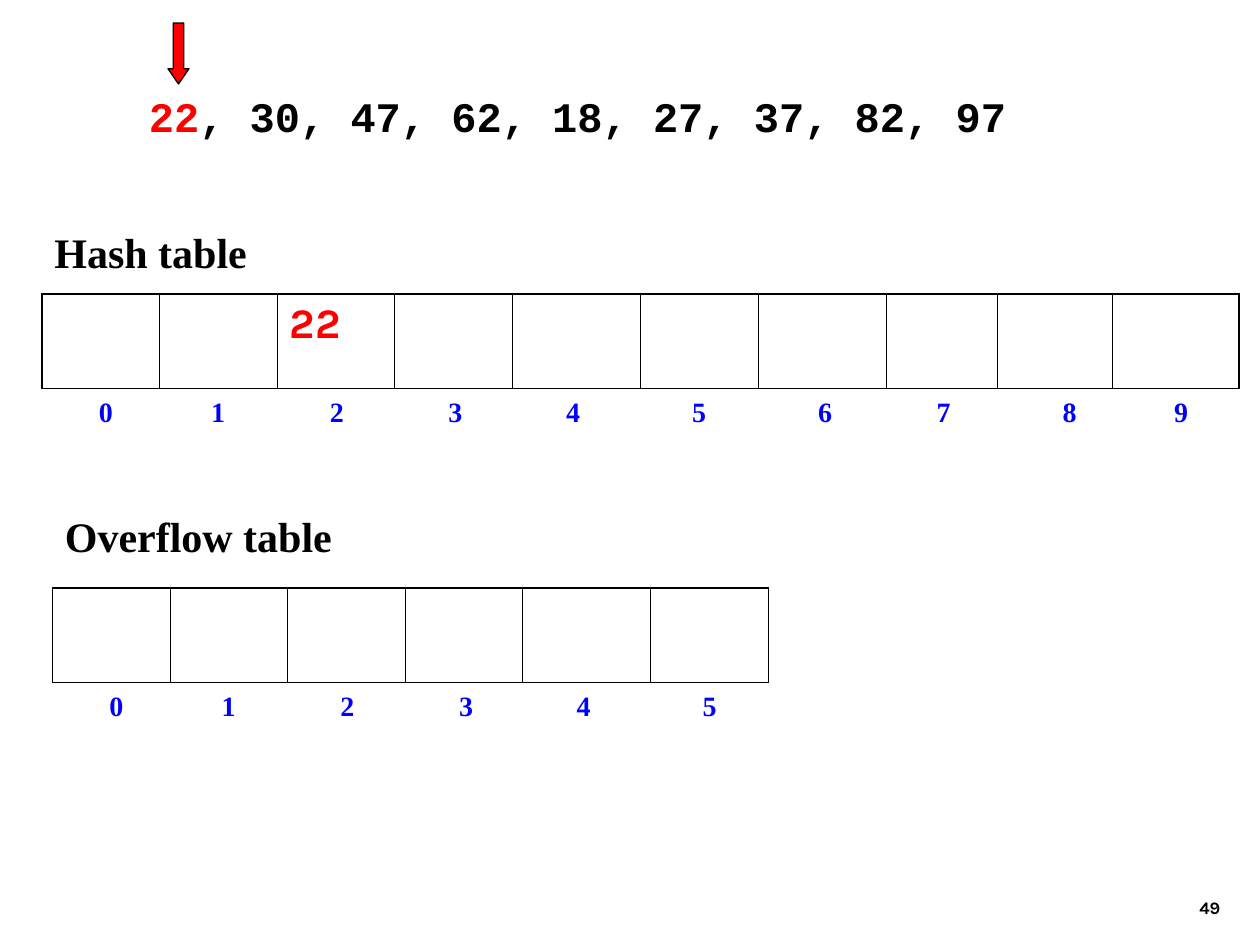
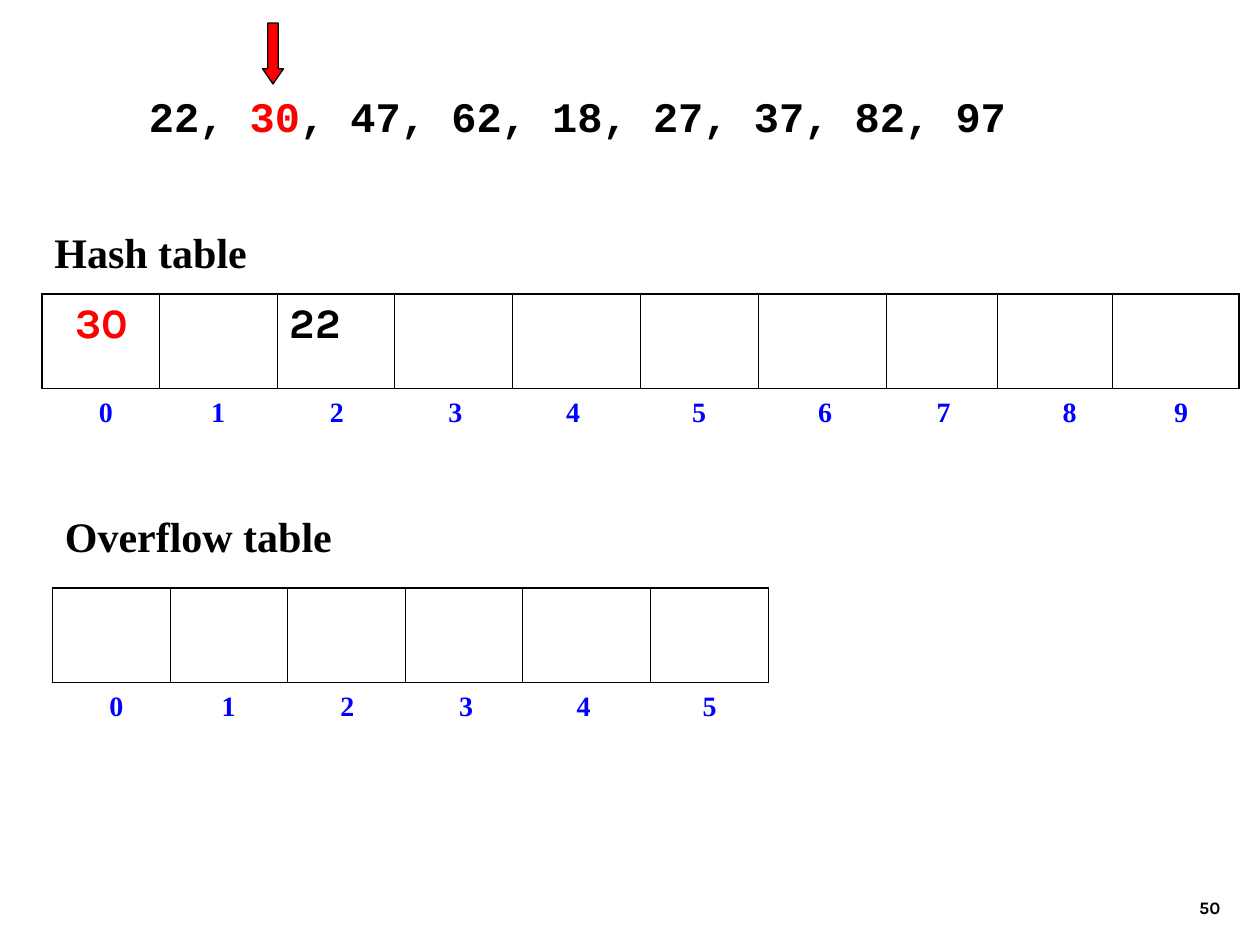
from lxml import etree
from pptx import Presentation
from pptx import util as u
from pptx.dml.color import RGBColor
from pptx.enum import shapes, text
from pptx.oxml.ns import qn

GRID_COLS, GRID_ROWS = 120, 90
SLIDE_W, SLIDE_H = u.Inches(10), u.Inches(7.5)
BLACK, RED, BLUE, WHITE = "000000", "FF0000", "0000FF", "FFFFFF"
SERIF, MONO, SANS = "Times New Roman", "Courier New", "Karla"
KEYS = [22, 30, 47, 62, 18, 27, 37, 82, 97]
FIRST_PAGE = 49
SLOT_WIDTHS = [11.2, 11.2, 11.2, 11.2, 12.2, 11.2, 12.2, 10.6, 11, 12]
INDEX_STOPS = [5.9, 16.6, 27.9, 39.2, 50.4, 62.4, 74.4, 85.7, 97.7, 108.3]
SLOT_HEIGHT = 9
SLOT_INDENTS = {0: 2}
OUTER_LINE, INNER_LINE = 1.08, 0.45


def color(hex_code):
    """Turn a hex string into a colour."""
    return RGBColor.from_string(hex_code)


def across(columns):
    """Convert grid columns to a length."""
    return round(SLIDE_W * columns / GRID_COLS)


def down(rows):
    """Convert grid rows to a length."""
    return round(SLIDE_H * rows / GRID_ROWS)


def place(left, top, width, height):
    """Convert a grid box to slide lengths."""
    return across(left), down(top), across(width), down(height)


def add_run(paragraph, words, size, font_name, hex_code):
    """Append one bold run to a paragraph."""
    run = paragraph.add_run()
    run.text = words
    run.font.size, run.font.name, run.font.bold = u.Pt(size), font_name, True
    run.font.color.rgb = color(hex_code)


def add_label(slide, box, runs, size, font_name, wrap=True, stops=()):
    """Place a line of coloured runs, with optional centred tab stops."""
    frame = slide.shapes.add_textbox(*place(*box)).text_frame
    frame.word_wrap = wrap
    line = frame.paragraphs[0]
    if stops:
        tabs = etree.SubElement(line._p.get_or_add_pPr(), qn("a:tabLst"))
        for stop in stops:
            etree.SubElement(tabs, qn("a:tab"), pos=str(across(stop)), algn="ctr")
    for words, hex_code in runs:
        add_run(line, words, size, font_name, hex_code)
    return frame


def add_border(cell, side, weight):
    """Draw one black edge of a slot."""
    edge = etree.SubElement(cell._tc.get_or_add_tcPr(), qn(f"a:ln{side}"), w=str(u.Pt(weight)))
    ink = etree.SubElement(edge, qn("a:solidFill"))
    etree.SubElement(ink, qn("a:srgbClr"), val=BLACK)


def key_sequence(slide, left, top, step):
    """Show the keys with the current one in red and an arrow above it."""
    before = "".join(f"{key}, " for key in KEYS[:step])
    after = "".join(f", {key}" for key in KEYS[step + 1:])
    runs = [(before, BLACK), (str(KEYS[step]), RED), (after, BLACK)]
    add_label(slide, (left, top, 84, 6), [run for run in runs if run[0]], 24, MONO, wrap=False)
    arrow = slide.shapes.add_shape(
        shapes.MSO_SHAPE.DOWN_ARROW, *place(left + 3 + 9 * step, top - 5.8, 2, 5.8))
    arrow.adjustments[0], arrow.adjustments[1] = 0.5, 0.73
    arrow.shadow.inherit = False
    arrow.fill.solid()
    arrow.fill.fore_color.rgb = color(RED)
    arrow.line.color.rgb = color(BLACK)
    arrow.line.width = u.Pt(0.75)


def slot_table(slide, left, top, heading, heading_box, slot_count, entries):
    """Draw a heading, a row of slots and their indices."""
    rise, heading_width = heading_box
    widths = SLOT_WIDTHS[:slot_count]
    total = sum(widths)
    add_label(slide, (left, top - rise, heading_width, 6), [(heading, BLACK)], 24, SERIF)
    indices = "".join(f"\t{index}" for index in range(slot_count))
    add_label(slide, (left - 1, top + SLOT_HEIGHT, total + 1, 4.5), [(indices, BLUE)],
              16, SERIF, stops=INDEX_STOPS[:slot_count])
    slots = slide.shapes.add_table(1, slot_count, *place(left, top, total, SLOT_HEIGHT)).table
    slots.first_row = slots.horz_banding = False
    for index, width in enumerate(widths):
        slots.columns[index].width = across(width)
        cell = slots.cell(0, index)
        add_border(cell, "L", INNER_LINE if index else OUTER_LINE)
        add_border(cell, "R", INNER_LINE if index < slot_count - 1 else OUTER_LINE)
        for side in "TB":
            add_border(cell, side, OUTER_LINE)
        cell.fill.background()
        if index in entries:
            key, hex_code = entries[index]
            cell.margin_left = u.Inches(0.1) + across(SLOT_INDENTS.get(index, 0))
            add_run(cell.text_frame.paragraphs[0], str(key), 24, SANS, hex_code)


def page_number(slide, number):
    """Put the page number at the bottom right."""
    frame = add_label(slide, (92.4, 82, 25, 6), [(str(number), BLACK)], 10, SANS)
    frame.vertical_anchor = text.MSO_ANCHOR.BOTTOM
    frame.paragraphs[0].alignment = text.PP_ALIGN.RIGHT


def insertion_slide(deck, step):
    """Build the slide that inserts the key at the given step."""
    slide = deck.slides.add_slide(deck.slide_layouts[6])
    slide.background.fill.solid()
    slide.background.fill.fore_color.rgb = color(WHITE)
    entries = {key % 10: (key, RED if key == KEYS[step] else BLACK) for key in KEYS[:step + 1]}
    page_number(slide, FIRST_PAGE + step)
    key_sequence(slide, 13, 8, step)
    slot_table(slide, 4, 28, "Hash table", (7, 22), 10, entries)
    slot_table(slide, 5, 56, "Overflow table", (8, 33), 6, {})


def main():
    """Build and save the deck."""
    deck = Presentation()
    deck.slide_width, deck.slide_height = SLIDE_W, SLIDE_H
    for step in range(2):
        insertion_slide(deck, step)
    deck.save("out.pptx")


if __name__ == "__main__":
    main()
